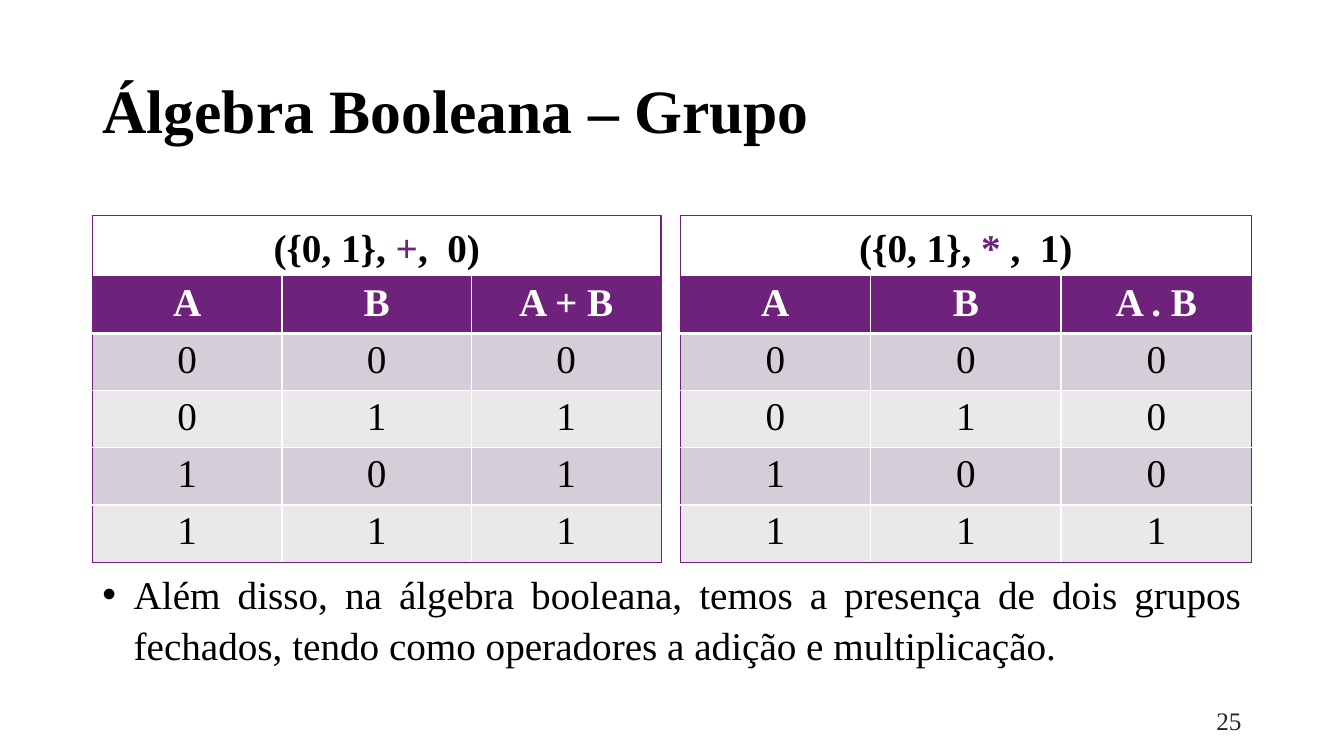
from lxml.etree import SubElement
from pptx import Presentation
from pptx.dml.color import RGBColor
from pptx.enum.shapes import MSO_SHAPE
from pptx.enum.text import MSO_ANCHOR, PP_ALIGN
from pptx.oxml.ns import qn
from pptx.util import Cm, Pt

FONT = "Times New Roman"
COLORS = {
    "purple": "6F227C",
    "white": "FFFFFF",
    "black": "000000",
    "gray": "262626",
    "odd_row": "D5CDD7",
    "even_row": "EBE8EC",
}
LEFT, WIDTH = 2.33, 29.21
CAPTION_H, ROW_H = 1.52, 1.35


def rgb(name):
    return RGBColor.from_string(COLORS[name])


def add_run(p, text, size=28, color="black", bold=False):
    r = p.add_run()
    r.text = text
    r.font.name = FONT
    r.font.size = Pt(size)
    r.font.bold = bold
    r.font.color.rgb = rgb(color)


def add_text_box(s, box, anchor=MSO_ANCHOR.TOP):
    tf = s.shapes.add_textbox(*map(Cm, box)).text_frame
    tf.word_wrap = True
    tf.vertical_anchor = anchor
    return tf.paragraphs[0]


def add_title(s, box, text):
    p = add_text_box(s, box, MSO_ANCHOR.MIDDLE)
    p.line_spacing = 0.9
    add_run(p, text, 44, bold=True)


def add_caption(s, box, operator, rest):
    sp = s.shapes.add_shape(MSO_SHAPE.RECTANGLE, *map(Cm, box))
    sp.shadow.inherit = False
    sp.fill.background()
    sp.line.color.rgb = rgb("purple")
    sp.line.width = Pt(0.75)
    tf = sp.text_frame
    tf.word_wrap = True
    tf.vertical_anchor = MSO_ANCHOR.BOTTOM
    p = tf.paragraphs[0]
    p.alignment = PP_ALIGN.CENTER
    p.line_spacing = 0.9
    p.space_before = Pt(10)
    add_run(p, "({0, 1}, ", bold=True)
    add_run(p, operator, color="purple", bold=True)
    add_run(p, rest, bold=True)


def set_border(cell, side, color, width):
    ln = SubElement(cell._tc.get_or_add_tcPr(), qn("a:ln" + side), w=str(Pt(width)))
    fill = SubElement(ln, qn("a:solidFill"))
    SubElement(fill, qn("a:srgbClr"), val=COLORS[color])


def add_truth_table(s, box, rows):
    n_rows, n_cols = len(rows), len(rows[0])
    table = s.shapes.add_table(n_rows, n_cols, *map(Cm, box)).table
    for row in table.rows:
        row.height = Cm(ROW_H)
    for i, values in enumerate(rows):
        header = i == 0
        for j, value in enumerate(values):
            cell = table.cell(i, j)
            # Purple outside edges, white inner lines, thick rule under the header
            outer = {"L": j == 0, "R": j == n_cols - 1, "T": header, "B": i == n_rows - 1}
            for side, is_outer in outer.items():
                thick = (side, i) in (("B", 0), ("T", 1))
                color, width = ("purple", 0.75) if is_outer else ("white", 3 if thick else 1)
                set_border(cell, side, color, width)
            cell.fill.solid()
            cell.fill.fore_color.rgb = rgb(
                "purple" if header else "odd_row" if i % 2 else "even_row")
            p = cell.text_frame.paragraphs[0]
            p.alignment = PP_ALIGN.CENTER
            add_run(p, str(value), color="white" if header else "black", bold=header)


def add_group(s, box, operator, rest, result, function):
    left, top, width, height = box
    add_caption(s, (left, top, width, CAPTION_H), operator, rest)
    rows = [("A", "B", result)]
    rows += [(a, b, function(a, b)) for a in (0, 1) for b in (0, 1)]
    add_truth_table(s, (left, top + CAPTION_H, width, height - CAPTION_H), rows)


def add_bullet(s, box, text):
    p = add_text_box(s, box)
    p.alignment = PP_ALIGN.JUSTIFY
    p.line_spacing = 1.08
    pPr = p._p.get_or_add_pPr()
    pPr.set("marL", str(Cm(0.79)))
    pPr.set("indent", str(-Cm(0.79)))
    SubElement(pPr, qn("a:buFont"), typeface="Arial")
    SubElement(pPr, qn("a:buChar"), char="•")
    add_run(p, text)


def add_page_number(s, box, number):
    p = add_text_box(s, box, MSO_ANCHOR.MIDDLE)
    p.alignment = PP_ALIGN.RIGHT
    add_run(p, number, 18, "gray")


def main():
    prs = Presentation()
    prs.slide_width, prs.slide_height = Cm(33.87), Cm(19.05)
    s = prs.slides.add_slide(prs.slide_layouts[6])

    # Title
    add_title(s, (LEFT, 1.01, WIDTH, 3.68), "Álgebra Booleana – Grupo")

    # Two groups side by side
    group_h = CAPTION_H + 5 * ROW_H
    add_group(s, (LEFT, 5.44, 14.33, group_h), "+", ",  0)", "A + B", lambda a, b: a | b)
    add_group(s, (17.14, 5.44, 14.4, group_h), "*", " ,  1)", "A . B", lambda a, b: a & b)

    # Conclusion and page number
    add_bullet(s, (LEFT, 14.15, WIDTH, 2.64),
               "Além disso, na álgebra booleana, temos a presença de dois grupos "
               "fechados, tendo como operadores a adição e multiplicação.")
    add_page_number(s, (23.92, 17.66, 7.62, 1.01), "25")

    prs.save("out.pptx")


if __name__ == "__main__":
    main()
